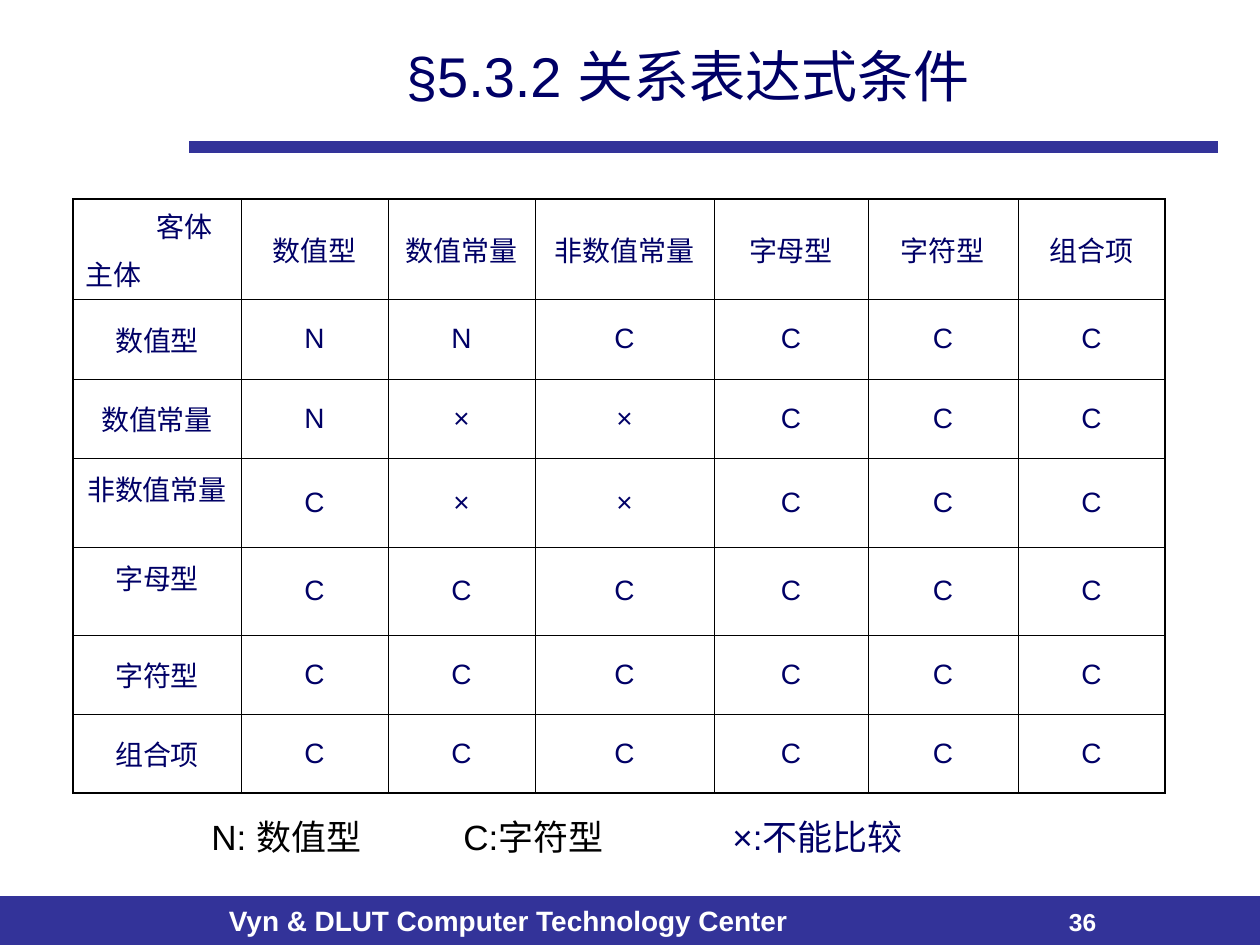
from pptx import Presentation
from pptx import util as u
from pptx.dml.color import RGBColor
from pptx.enum import shapes, text
from pptx.oxml import parse_xml
from pptx.oxml.ns import nsdecls, qn

TITLE = "§5.3.2 关系表达式条件"
TYPES = ["数值型", "数值常量", "非数值常量", "字母型", "字符型", "组合项"]
CORNER = ("客体", "主体")
RESULTS = ["NNCCCC", "N××CCC", "C××CCC", "CCCCCC", "CCCCCC", "CCCCCC"]
TOP_ALIGNED = {"非数值常量", "字母型"}
LEGEND = [("\tN: 数值型\tC:字符型\t", "black"), ("×:不能比较", "navy")]
FOOTER = [("Vyn & DLUT Computer Technology Center", "credit"), ("\t36", "number")]

THEME = {
    "font": "Arial",
    "colors": {"navy": "000066", "band": "333399", "black": "000000", "white": "FFFFFF"},
    "sizes": {"title": 32, "legend": 20, "table": 16, "credit": 16, "number": 14},
    "lines": {"rule": 7, "outer": 1.08, "inner": 0.45},
}

SLIDE = (1260, 945)
TITLE_BOX = (231, 32, 914, 87)
RULE = (189, 147, 1218, 147)
TABLE_AT = (73, 199)
COLUMNS = [168, 147, 147, 179, 154, 150, 147]
ROWS = [100, 80, 79, 89, 88, 79, 79]
LEGEND_BOX = (73, 809, 1081, 55)
LEGEND_TABS = [126, 378, 647]
FOOTER_BOX = (0, 897, 1260, 76)
FOOTER_INSET = 229
FOOTER_TABS = [840]
CORNER_INDENT = 71
TOP_INSET = 10


def px(length):
    return u.Emu(round(length * 914400 / 126))


def place(box):
    return [px(length) for length in box]


def color(name):
    return RGBColor.from_string(THEME["colors"][name])


def write(para, words, size="table", ink="navy", bold=False, align=None,
          before=None, indent=0, tabs=()):
    props = para._p.get_or_add_pPr()
    if tabs:
        stops = "".join(f'<a:tab pos="{px(stop)}" algn="l"/>' for stop in tabs)
        props.append(parse_xml(f'<a:tabLst {nsdecls("a")}>{stops}</a:tabLst>'))
    if indent:
        props.set("marL", str(px(indent)))
    if align is not None:
        para.alignment = align
    if before is not None:
        para.space_before = u.Pt(before)
    span = para.add_run()
    span.text = words
    span.font.name = THEME["font"]
    span.font.size = u.Pt(THEME["sizes"][size])
    span.font.bold = bold
    span.font.color.rgb = color(ink)


def set_borders(cell, row, column):
    outer = {"L": column == 0, "R": column == len(COLUMNS) - 1,
             "T": row == 0, "B": row == len(ROWS) - 1}
    props = cell._tc.get_or_add_tcPr()
    for side, is_outer in outer.items():
        width = u.Pt(THEME["lines"]["outer" if is_outer else "inner"])
        props.append(parse_xml(
            f'<a:ln{side} {nsdecls("a")} w="{width}"><a:solidFill>'
            f'<a:srgbClr val="{THEME["colors"]["black"]}"/></a:solidFill></a:ln{side}>'))


def add_footer(page):
    band = page.shapes.add_shape(shapes.MSO_SHAPE.RECTANGLE, *place(FOOTER_BOX))
    band.shadow.inherit = False
    band.fill.solid()
    band.fill.fore_color.rgb = color("band")
    band.line.color.rgb = color("band")
    band.line.width = u.Pt(0.75)
    frame = band.text_frame
    frame.vertical_anchor = text.MSO_ANCHOR.TOP
    frame.margin_left = px(FOOTER_INSET)
    para = frame.paragraphs[0]
    for index, (words, size) in enumerate(FOOTER):
        write(para, words, size=size, ink="white", bold=True,
              align=text.PP_ALIGN.LEFT, tabs=() if index else FOOTER_TABS)


def add_rule(page):
    rule = page.shapes.add_connector(shapes.MSO_CONNECTOR.STRAIGHT, *place(RULE))
    rule.line.color.rgb = color("band")
    rule.line.width = u.Pt(THEME["lines"]["rule"])
    rule._element.spPr.append(parse_xml(f'<a:effectLst {nsdecls("a")}/>'))


def add_title(page):
    title = page.shapes.title
    title.left, title.top, title.width, title.height = place(TITLE_BOX)
    frame = title.text_frame
    frame.word_wrap = True
    frame.auto_size = text.MSO_AUTO_SIZE.NONE
    frame.vertical_anchor = text.MSO_ANCHOR.MIDDLE
    write(frame.paragraphs[0], TITLE, size="title", align=text.PP_ALIGN.CENTER)


def add_comparison_table(page):
    grid = page.shapes.add_table(
        len(ROWS), len(COLUMNS), *place((*TABLE_AT, sum(COLUMNS), sum(ROWS)))).table
    grid.first_row = grid.horz_banding = False
    for column, width in zip(grid.columns, COLUMNS):
        column.width = px(width)
    for row, height in zip(grid.rows, ROWS):
        row.height = px(height)

    content = [["", *TYPES]] + [[kind, *marks] for kind, marks in zip(TYPES, RESULTS)]
    for row, line in enumerate(content):
        for column, words in enumerate(line):
            cell = grid.cell(row, column)
            set_borders(cell, row, column)
            cell.fill.background()
            cell.vertical_anchor = text.MSO_ANCHOR.MIDDLE
            if column == 0 and words in TOP_ALIGNED:
                cell.vertical_anchor = text.MSO_ANCHOR.TOP
                cell.margin_top = px(TOP_INSET)
            if words:
                write(cell.text_frame.paragraphs[0], words, align=text.PP_ALIGN.CENTER)

    corner = grid.cell(0, 0).text_frame
    write(corner.paragraphs[0], CORNER[0], indent=CORNER_INDENT)
    write(corner.add_paragraph(), CORNER[1], before=4)


def add_legend(page):
    frame = page.shapes.add_textbox(*place(LEGEND_BOX)).text_frame
    frame.word_wrap = True
    para = frame.paragraphs[0]
    for index, (words, ink) in enumerate(LEGEND):
        write(para, words, size="legend", ink=ink, tabs=() if index else LEGEND_TABS)


def main():
    deck = Presentation()
    deck.slide_width, deck.slide_height = place(SLIDE)
    page = deck.slides.add_slide(deck.slide_layouts.get_by_name("Title Only"))
    add_footer(page)
    add_rule(page)
    add_title(page)
    add_comparison_table(page)
    add_legend(page)
    deck.save("out.pptx")


if __name__ == "__main__":
    main()
